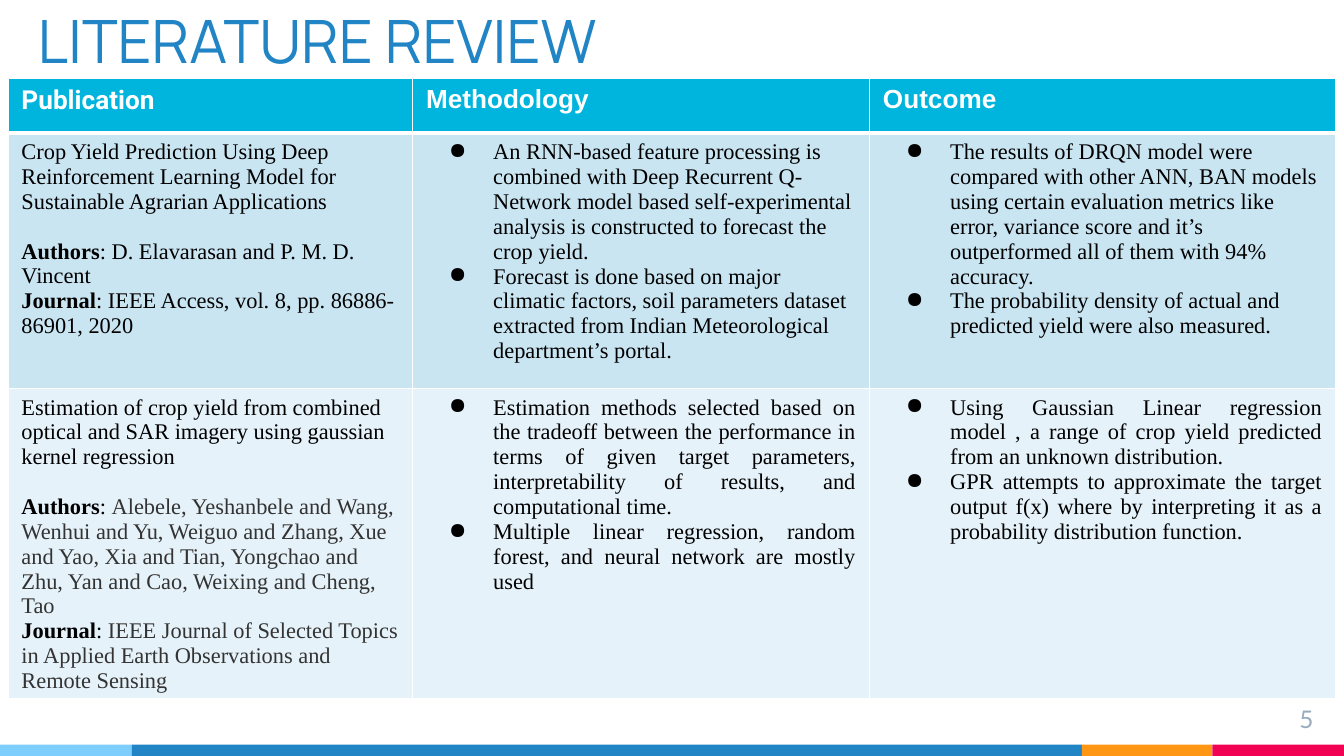
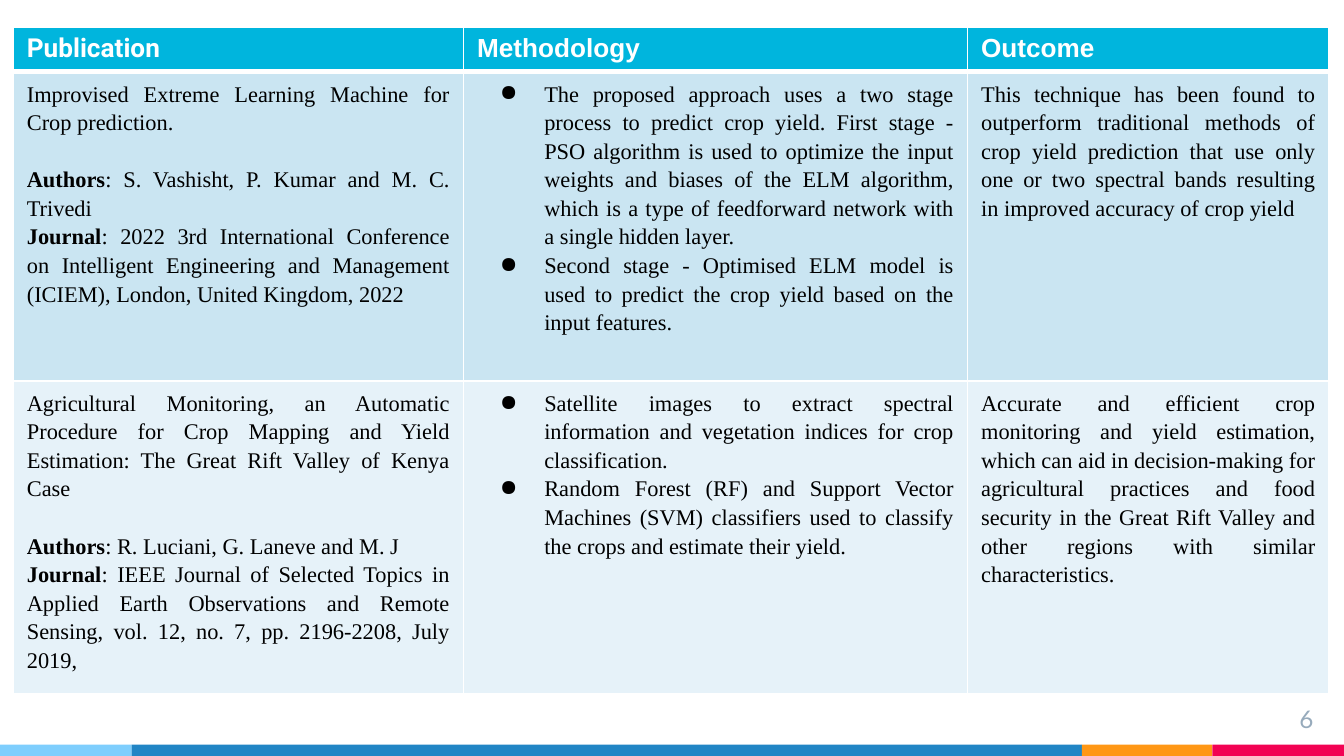
"""Build two literature review slides, each a table above a coloured footer."""
from itertools import pairwise

from lxml import etree
from pptx import Presentation
from pptx.dml.color import RGBColor
from pptx.enum.shapes import MSO_SHAPE as Shape
from pptx.enum.text import MSO_ANCHOR as Anchor, MSO_AUTO_SIZE as AutoSize, PP_ALIGN as Align
from pptx.oxml.ns import qn
from pptx.util import Inches, Pt

W, H = 10, 5.625
COLORS = {
    "sky": "7ECEFD", "blue": "2185C5", "orange": "FF9715", "pink": "F20253",
    "number": "97ABBC", "header": "00B5DD", "white": "FFFFFF",
    "text": "000000", "grey": "333333",
}
ROW_FILLS = ["CAE5F2", "E6F2F9"]
BAND_EDGES = [0, 0.098, 0.805, 0.902, 1]
BAND_COLORS = ["sky", "blue", "orange", "pink"]
HEADERS = {"Publication": "Roboto", "Methodology": "Arial", "Outcome": "Arial"}
BODY_FONT = "Times New Roman"

FIRST_ROWS = [
    {
        "title": "Crop Yield Prediction Using Deep Reinforcement Learning Model for "
                 "Sustainable Agrarian Applications",
        "Authors": "D. Elavarasan and P. M. D. Vincent",
        "Journal": "IEEE Access, vol. 8, pp. 86886-86901, 2020",
        "method": [
            "An RNN-based feature processing is combined with Deep Recurrent Q-Network model "
            "based self-experimental analysis is constructed to forecast the crop yield.",
            "Forecast is done based on major climatic factors, soil parameters dataset "
            "extracted from Indian Meteorological department’s portal.",
        ],
        "outcome": [
            "The results of DRQN model were compared with other ANN, BAN models using certain "
            "evaluation metrics like error, variance score and it’s outperformed all of them "
            "with 94% accuracy.",
            "The probability density of actual and predicted yield were also measured.",
        ],
        "align": Align.LEFT,
    },
    {
        "title": "Estimation of crop yield from combined optical and SAR imagery using "
                 "gaussian kernel regression",
        "Authors": "Alebele, Yeshanbele and Wang, Wenhui and Yu, Weiguo and Zhang, Xue and "
                   "Yao, Xia and Tian, Yongchao and Zhu, Yan and Cao, Weixing and Cheng, Tao",
        "Journal": "IEEE Journal of Selected Topics in Applied Earth Observations and "
                   "Remote Sensing",
        "method": [
            "Estimation methods selected based on the tradeoff between the performance in "
            "terms of given target parameters, interpretability of results, and "
            "computational time.",
            "Multiple linear regression, random forest, and neural network are mostly used",
        ],
        "outcome": [
            "Using Gaussian Linear regression model , a range of crop yield predicted from "
            "an unknown distribution.",
            "GPR attempts to approximate the target output f(x) where by interpreting it as "
            "a probability distribution function.",
        ],
        "source_color": "grey",
    },
]
SECOND_ROWS = [
    {
        "title": "Improvised Extreme Learning Machine for Crop prediction.",
        "Authors": "S. Vashisht, P. Kumar and M. C. Trivedi",
        "Journal": "2022 3rd International Conference on Intelligent Engineering and "
                   "Management (ICIEM), London, United Kingdom, 2022",
        "method": [
            "The proposed approach uses a two stage process to predict crop yield. First "
            "stage - PSO algorithm is used to optimize the input weights and biases of the "
            "ELM algorithm, which is a type of feedforward network with a single hidden layer.",
            "Second stage - Optimised ELM model is used to predict the crop yield based on "
            "the input features.",
        ],
        "outcome": [
            "This technique has been found to outperform traditional methods of crop yield "
            "prediction that use only one or two spectral bands resulting in improved "
            "accuracy of crop yield",
        ],
    },
    {
        "title": "Agricultural Monitoring, an Automatic Procedure for Crop Mapping and Yield "
                 "Estimation: The Great Rift Valley of Kenya Case",
        "Authors": "R. Luciani, G. Laneve and M. J",
        "Journal": "IEEE Journal of Selected Topics in Applied Earth Observations and Remote "
                   "Sensing, vol. 12, no. 7, pp. 2196-2208, July 2019,",
        "method": [
            "Satellite images to extract spectral information and vegetation indices for "
            "crop classification.",
            "Random Forest (RF) and Support Vector Machines (SVM) classifiers used to "
            "classify the crops and estimate their yield.",
        ],
        "outcome": [
            "Accurate and efficient crop monitoring and yield estimation, which can aid in "
            "decision-making for agricultural practices and food security in the Great Rift "
            "Valley and other regions with similar characteristics.",
        ],
    },
]


def rgb(name):
    """Return the colour for a palette name or a hex string."""
    return RGBColor.from_string(COLORS.get(name, name))


def style(p, size, font, color, bold=False):
    """Format every run of a paragraph and its end mark."""
    for r in p.runs:
        r.font.size, r.font.name, r.font.bold = Pt(size), font, bold
        r.font.color.rgb = rgb(color)
    end = etree.SubElement(p._p, qn("a:endParaRPr"), sz=str(size * 100))
    etree.SubElement(end, qn("a:latin"), typeface=font)


def set_margins(tf, inset=0.1):
    """Give a text frame equal insets and wrapping."""
    tf.margin_left = tf.margin_right = tf.margin_top = tf.margin_bottom = Inches(inset)
    tf.word_wrap = True


def add_bullet(p):
    """Hang a round bullet in front of a paragraph."""
    pPr = p._p.get_or_add_pPr()
    pPr.set("marL", str(Inches(0.5)))
    pPr.set("indent", str(-Inches(0.33)))
    color = etree.SubElement(pPr, qn("a:buClr"))
    etree.SubElement(color, qn("a:srgbClr"), val=COLORS["text"])
    etree.SubElement(pPr, qn("a:buChar"), char="●")


def dress_cell(cell, fill, bottom=1):
    """Draw white borders around a cell and fill it."""
    tcPr = cell._tc.get_or_add_tcPr()
    for side, width in {"L": 1, "R": 1, "T": 1, "B": bottom}.items():
        ln = etree.SubElement(tcPr, qn(f"a:ln{side}"), w=str(Pt(width)))
        line_fill = etree.SubElement(ln, qn("a:solidFill"))
        etree.SubElement(line_fill, qn("a:srgbClr"), val=COLORS["white"])
    cell.fill.solid()
    cell.fill.fore_color.rgb = rgb(fill)


def fill_publication(cell, row, align, spacing):
    """Write the paper's title, then its authors and journal after bold labels."""
    cell.margin_bottom = 0
    tf = cell.text_frame
    tf.text = row["title"]
    style(tf.paragraphs[0], 12, BODY_FONT, "text")
    for label in ("Authors", "Journal"):
        p = tf.add_paragraph()
        for text in (label, ": ", row[label]):
            p.add_run().text = text
        style(p, 12, BODY_FONT, "text")
        p.runs[0].font.bold = True
        p.runs[2].font.color.rgb = rgb(row.get("source_color", "text"))
    tf.paragraphs[0].space_after = Pt(13.3 * spacing)
    for p in tf.paragraphs:
        p.alignment, p.line_spacing = align, spacing


def fill_points(cell, points, align, spacing, bulleted):
    """Write one paragraph per point."""
    tf = cell.text_frame
    tf.text = "\n".join(points)
    for p in tf.paragraphs:
        p.alignment, p.line_spacing = align, spacing
        style(p, 12, BODY_FONT, "text")
        if bulleted:
            add_bullet(p)


def add_review_table(s, left, top, cols, heights, rows, pub_align, spacing, bullet_outcome):
    """Add the review table with its header row and one row per paper."""
    box = [Inches(v) for v in (left, top, sum(cols), sum(heights))]
    table = s.shapes.add_table(len(heights), len(cols), *box).table
    for col, width in zip(table.columns, cols):
        col.width = Inches(width)
    for line, height in zip(table.rows, heights):
        line.height = Inches(height)
    for cell, (text, font) in zip(table.rows[0].cells, HEADERS.items()):
        dress_cell(cell, "header", bottom=3)
        cell.text_frame.text = text
        style(cell.text_frame.paragraphs[0], 14, font, "white", bold=True)
    for i, (row, fill) in enumerate(zip(rows, ROW_FILLS), 1):
        cells = list(table.rows[i].cells)
        for cell in cells:
            dress_cell(cell, fill)
        align = row.get("align", Align.JUSTIFY)
        fill_publication(cells[0], row, pub_align, spacing)
        fill_points(cells[1], row["method"], align, spacing, True)
        fill_points(cells[2], row["outcome"], align, spacing, bullet_outcome)


def add_footer(s, number):
    """Add the coloured bands and the slide number."""
    top = 0.985 * H
    for (start, end), color in zip(pairwise(BAND_EDGES), BAND_COLORS):
        box = [Inches(v) for v in (start * W, top, (end - start) * W, H - top)]
        sp = s.shapes.add_shape(Shape.RECTANGLE, *box)
        sp.shadow.inherit = False
        sp.fill.solid()
        sp.fill.fore_color.rgb = rgb(color)
        sp.line.fill.background()
    tf = s.shapes.add_textbox(Inches(9.27), Inches(5.14), Inches(0.6), Inches(0.34)).text_frame
    set_margins(tf)
    tf.text = str(number)
    p = tf.paragraphs[0]
    p.alignment = Align.RIGHT
    style(p, 13, "Lato", "number")


def set_title(s, text):
    """Place and format the title placeholder."""
    sp = s.shapes.title
    sp.left, sp.top, sp.width, sp.height = [Inches(v) for v in (0.18, 0.17, 7.15, 0.49)]
    tf = sp.text_frame
    set_margins(tf)
    tf.auto_size, tf.vertical_anchor = AutoSize.NONE, Anchor.BOTTOM
    tf.text = text
    p = tf.paragraphs[0]
    p.alignment = Align.LEFT
    style(p, 32, "Manrope", "blue")


def main():
    """Build and save both slides."""
    prs = Presentation()
    prs.slide_width, prs.slide_height = Inches(W), Inches(H)

    s = prs.slides.add_slide(prs.slide_layouts[5])
    set_title(s, "LITERATURE REVIEW")
    add_review_table(s, 0.06, 0.58, [3.01, 3.4, 3.47], [0.41, 1.9, 2.31], FIRST_ROWS,
                     Align.LEFT, 1.0, True)
    add_footer(s, 5)

    s = prs.slides.add_slide(prs.slide_layouts[6])
    add_review_table(s, 0.1, 0.2, [3.35, 3.75, 2.69], [0.32, 2.3, 2.22], SECOND_ROWS,
                     Align.JUSTIFY, 1.15, False)
    add_footer(s, 6)

    prs.save("out.pptx")


if __name__ == "__main__":
    main()
